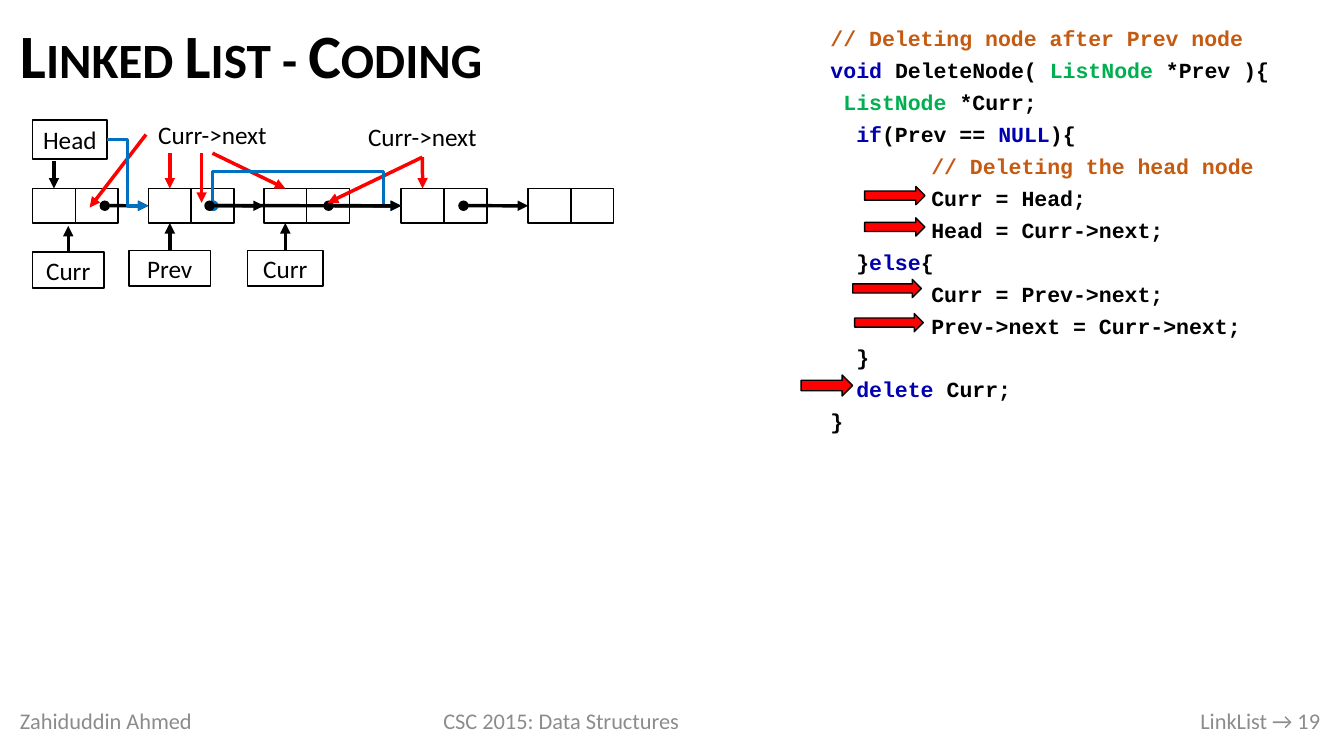
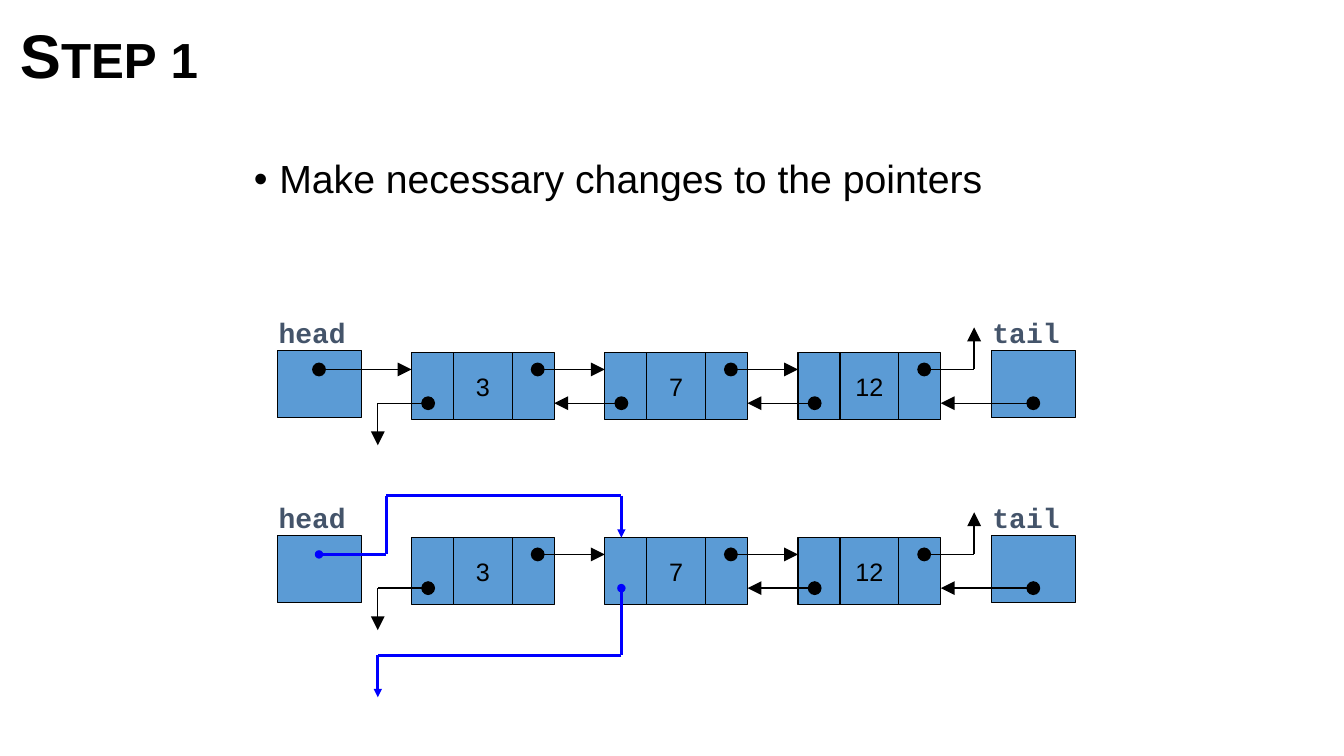
from lxml.etree import SubElement
from pptx import Presentation
from pptx.dml.color import RGBColor
from pptx.enum.shapes import MSO_CONNECTOR, MSO_SHAPE
from pptx.enum.text import MSO_ANCHOR, MSO_AUTO_SIZE, PP_ALIGN
from pptx.oxml.ns import qn
from pptx.util import Cm, Pt

BLACK = RGBColor(0x00, 0x00, 0x00)
WHITE = RGBColor(0xFF, 0xFF, 0xFF)
GRAY = RGBColor(0x8C, 0x8C, 0x8C)
RED = RGBColor(0xFF, 0x00, 0x00)
LINK_BLUE = RGBColor(0x00, 0x70, 0xC0)
PURE_BLUE = RGBColor(0x00, 0x00, 0xFF)
NODE_BLUE = RGBColor(0x5B, 0x9B, 0xD5)
SLATE = RGBColor(0x44, 0x54, 0x6A)
COMMENT = RGBColor(0xC5, 0x5A, 0x11)
KEYWORD = RGBColor(0x00, 0x00, 0xB0)
TYPE_NAME = RGBColor(0x00, 0xB0, 0x50)

SANS, ARIAL, MONO = "Calibri", "Arial", "Courier New"
TOP, LEFT, BOTTOM, RIGHT = range(4)

CODE = [
    [("// Deleting node after Prev node", COMMENT)],
    [("void ", KEYWORD), ("DeleteNode( ", BLACK), ("ListNode", TYPE_NAME),
     (" *Prev ){", BLACK)],
    [(" ListNode", TYPE_NAME), (" *Curr;", BLACK)],
    [("  if", KEYWORD), ("(Prev == ", BLACK), ("NULL", KEYWORD), ("){", BLACK)],
    [("\t// Deleting the head node", COMMENT)],
    [("\tCurr = Head;", BLACK)],
    [("\tHead = Curr->next;", BLACK)],
    [("  }", BLACK), ("else", KEYWORD), ("{", BLACK)],
    [("\tCurr = Prev->next;", BLACK)],
    [("\tPrev->next = Curr->next;", BLACK)],
    [("  }", BLACK)],
    [("  delete ", KEYWORD), ("Curr;", BLACK)],
    [("}", BLACK)],
]


def style(span, font, size, color=BLACK, bold=False):
    span.font.name = font
    span.font.size = Pt(size)
    span.font.color.rgb = color
    span.font.bold = bold


class Page:
    """Current slide and the look of its elements; all lengths are in cm."""

    def __init__(self, deck, title, title_font):
        self.slide = deck.slides.add_slide(deck.slide_layouts[5])
        self.shapes = self.slide.shapes
        box = self.shapes.title
        box.left, box.top, box.width, box.height = map(Cm, (0.25, 0.28, 33.27, 2.41))
        frame = box.text_frame
        frame.text = title
        frame.auto_size = MSO_AUTO_SIZE.NONE
        frame.vertical_anchor = MSO_ANCHOR.MIDDLE
        para = frame.paragraphs[0]
        para.alignment = PP_ALIGN.LEFT
        para.line_spacing = 0.9
        span = para.runs[0]
        style(span, title_font, 44, bold=True)
        span.font._element.set("cap", "small")

    def text(self, x, y, width, height, words, font, size, color=BLACK, bold=False,
             align=PP_ALIGN.LEFT, anchor=MSO_ANCHOR.TOP):
        box = self.shapes.add_textbox(Cm(x), Cm(y), Cm(width), Cm(height))
        frame = box.text_frame
        frame.word_wrap = True
        frame.vertical_anchor = anchor
        frame.text = words
        para = frame.paragraphs[0]
        para.alignment = align
        style(para.runs[0], font, size, color, bold)
        return para

    def footer(self, *parts):
        places = [(0.25, 6.12, PP_ALIGN.LEFT), (9.88, 8.53, PP_ALIGN.CENTER),
                  (19.58, 13.94, PP_ALIGN.RIGHT)]
        for words, (x, width, align) in zip(parts, places):
            self.text(x, 17.65, width, 1.02, words, SANS, 16, GRAY,
                      align=align, anchor=MSO_ANCHOR.MIDDLE)

    def bullet(self, x, y, width, height, words):
        para = self.text(x, y, width, height, words, ARIAL, 28, align=PP_ALIGN.JUSTIFY)
        para.line_spacing = 0.9
        para.space_before = para.space_after = Pt(4)
        properties = para._p.get_or_add_pPr()
        properties.set("marL", str(Cm(0.64)))
        properties.set("indent", str(-Cm(0.64)))
        SubElement(properties, qn("a:buFont")).set("typeface", ARIAL)
        SubElement(properties, qn("a:buChar")).set("char", "•")

    def code(self, x, y, width, height, lines):
        box = self.shapes.add_textbox(Cm(x), Cm(y), Cm(width), Cm(height))
        frame = box.text_frame
        frame.word_wrap = True
        for index, line in enumerate(lines):
            para = frame.add_paragraph() if index else frame.paragraphs[0]
            para.alignment = PP_ALIGN.JUSTIFY
            para.line_spacing = 0.8
            para.space_before = para.space_after = Pt(4)
            stops = SubElement(para._p.get_or_add_pPr(), qn("a:tabLst"))
            stop = SubElement(stops, qn("a:tab"))
            stop.set("pos", str(Cm(2.54)))
            stop.set("algn", "l")
            for words, color in line:
                span = para.add_run()
                span.text = words
                style(span, MONO, 15.4, color, bold=True)

    def block(self, x, y, width, height, words="", fill=WHITE, font=SANS,
              outlined=True, kind=MSO_SHAPE.RECTANGLE):
        shape = self.shapes.add_shape(kind, Cm(x), Cm(y), Cm(width), Cm(height))
        shape.shadow.inherit = False
        shape.fill.solid()
        shape.fill.fore_color.rgb = fill
        if outlined:
            shape.line.color.rgb = BLACK
            shape.line.width = Pt(1)
        else:
            shape.line.fill.background()
        if words:
            frame = shape.text_frame
            frame.text = words
            frame.word_wrap = False
            frame.vertical_anchor = MSO_ANCHOR.MIDDLE
            para = frame.paragraphs[0]
            para.alignment = PP_ALIGN.CENTER
            style(para.runs[0], font, 18)
        return shape

    def link(self, begin, end, color=BLACK, width=2.5, dot=False, arrow=True,
             kind=MSO_CONNECTOR.STRAIGHT, bend=None, tip="med"):
        """Join two ends, each an (x, y) point or a (shape, side) pair."""
        ends = [tuple(map(Cm, place)) if isinstance(place[0], (int, float)) else None
                for place in (begin, end)]
        first, last = ends[0] or ends[1] or (0, 0), ends[1] or ends[0] or (0, 0)
        connector = self.shapes.add_connector(kind, *first, *last)
        if ends[0] is None:
            connector.begin_connect(*begin)
        if ends[1] is None:
            connector.end_connect(*end)
        connector.line.color.rgb = color
        connector.line.width = Pt(width)
        properties = connector.element.spPr
        outline = properties.find(qn("a:ln"))
        for wanted, tag, shape in ((dot, "a:headEnd", "oval"),
                                   (arrow, "a:tailEnd", "triangle")):
            if wanted:
                mark = SubElement(outline, qn(tag))
                mark.set("type", shape)
                mark.set("w", tip)
                mark.set("len", tip)
        SubElement(properties, qn("a:effectLst"))
        if bend is not None:
            guides = properties.find(qn("a:prstGeom")).get_or_add_avLst()
            guide = SubElement(guides, qn("a:gd"))
            guide.set("name", "adj1")
            guide.set("fmla", f"val {bend}")

    def trace(self, *points, color=BLACK, width=1, tip="lg"):
        """Draw a run of straight lines from a dot to an arrowhead."""
        final = len(points) - 2
        for index, (begin, end) in enumerate(zip(points, points[1:])):
            self.link(begin, end, color, width, dot=index == 0,
                      arrow=index == final, tip=tip)


def build_coding_slide(deck):
    page = Page(deck, "Linked List - Coding", SANS)
    page.footer("Zahiduddin Ahmed", "CSC 2015: Data Structures", "LinkList → 19")
    page.code(20.68, 0.64, 12.17, 11.18, CODE)

    cell_width, cell_height, row_top = 1.08, 0.87, 4.75
    middle = row_top + cell_height / 2
    nodes = []
    for x in (0.82, 3.74, 6.65, 10.11, 13.31):
        nodes.append([page.block(x + part * cell_width, row_top, cell_width, cell_height)
                      for part in range(2)])
    first, second, third, fourth, _ = [node[0] for node in nodes]

    for x, node in zip((2.64, 5.36, 8.28, 11.68), nodes[1:]):
        page.link((x, middle), (node[0], LEFT), dot=True)

    page.block(0.82, 3.02, 1.88, 0.99, "Head")
    page.link((1.36, 4.06), (first, TOP))
    old_head = page.block(0.82, 6.35, 1.8, 0.91, "Curr")
    page.link((old_head, TOP), (1.72, 5.69))
    for x, width, words, cell in ((3.25, 2.06, "Prev", second), (6.24, 1.9, "Curr", third)):
        page.link((page.block(x, 6.32, width, 0.89, words), TOP), (cell, BOTTOM))

    left_label = page.block(3.68, 2.92, 3.35, 0.94, "Curr->next", outlined=False)
    right_label = page.block(8.97, 2.92, 3.35, 1.04, "Curr->next", outlined=False)
    for begin, end in (
        ((left_label, LEFT), (2.26, 5.23)),
        ((4.28, 3.86), (second, TOP)),
        ((5.08, 3.86), (5.08, 5.11)),
        ((left_label, BOTTOM), (third, TOP)),
        ((right_label, BOTTOM), (fourth, TOP)),
        ((right_label, BOTTOM), (8.26, 5.11)),
    ):
        page.link(begin, end, RED)

    elbow = MSO_CONNECTOR.ELBOW
    page.link((5.38, middle), (9.22, 4.32), LINK_BLUE, dot=True, arrow=False,
              kind=elbow, bend=-600)
    page.link((9.22, 4.32), (10.11, middle), LINK_BLUE, kind=elbow)
    page.link((2.7, 3.51), (3.74, middle), LINK_BLUE, kind=elbow)
    page.link((5.28, middle), (fourth, LEFT), dot=True)

    for x, y, width, height in (
        (21.79, 4.7, 1.52, 0.46), (21.79, 5.49, 1.52, 0.46),
        (21.49, 7.04, 1.73, 0.46), (21.54, 7.9, 1.73, 0.46), (20.19, 9.45, 1.3, 0.53),
    ):
        page.block(x, y, width, height, fill=RED, kind=MSO_SHAPE.RIGHT_ARROW)


def draw_chain(page, top, removing_first):
    """Draw a doubly linked list, with the pointers before or after the change."""
    link_width, value_width, height = 1.06, 1.48, 1.69
    node_width = 2 * link_width + value_width
    lefts = [10.37 + 4.87 * index for index in range(3)]
    upper, lower = top + 0.42, top + 1.27
    next_dots = [left + 3.18 for left in lefts]
    back_dots = [left + 0.42 for left in lefts]
    head_dot, ground_x, tail_x = 8.04, 9.52, 24.55

    for words, x in (("head", 6.99), ("tail", 24.98)):
        page.block(x, top - 0.06, 2.12, 1.7, fill=NODE_BLUE)
        page.text(x - 0.22, top - 1.06, 2.96, 1.08, words, MONO, 20, SLATE, bold=True)
    for left, value in zip(lefts, ("3", "7", "12")):
        page.block(left + link_width, top, value_width, height, value, NODE_BLUE, ARIAL)
        for x in (left, left + link_width + value_width):
            page.block(x, top, link_width, height, fill=NODE_BLUE)

    for dot, left in zip(next_dots, lefts[1:]):
        page.trace((dot, upper), (left, upper))
    page.trace((next_dots[2], upper), (tail_x, upper), (tail_x, top - 0.64))
    page.trace((back_dots[0], lower), (ground_x, lower), (ground_x, top + 2.33))
    page.trace((back_dots[2], lower), (lefts[1] + node_width, lower))
    page.trace((26.04, lower), (lefts[2] + node_width, lower))

    if removing_first:
        turn_x, over, under = 9.74, top - 1.06, top + 2.96
        for points in (
            ((head_dot, upper), (turn_x, upper), (turn_x, over),
             (back_dots[1], over), (back_dots[1], top)),
            ((back_dots[1], lower), (back_dots[1], under), (ground_x, under),
             (ground_x, top + 4.02)),
        ):
            page.trace(*points, color=PURE_BLUE, width=2, tip="med")
    else:
        page.trace((head_dot, upper), (lefts[0], upper))
        page.trace((back_dots[1], lower), (lefts[0] + node_width, lower))


def build_step_slide(deck):
    page = Page(deck, "Step 1", ARIAL)
    page.bullet(6.15, 3.91, 21.59, 2.11, "Make necessary changes to the pointers")
    draw_chain(page, 8.89, removing_first=False)
    draw_chain(page, 13.55, removing_first=True)


def main():
    deck = Presentation()
    deck.slide_width, deck.slide_height = Cm(33.87), Cm(19.05)
    build_coding_slide(deck)
    build_step_slide(deck)
    deck.save("out.pptx")


if __name__ == "__main__":
    main()
